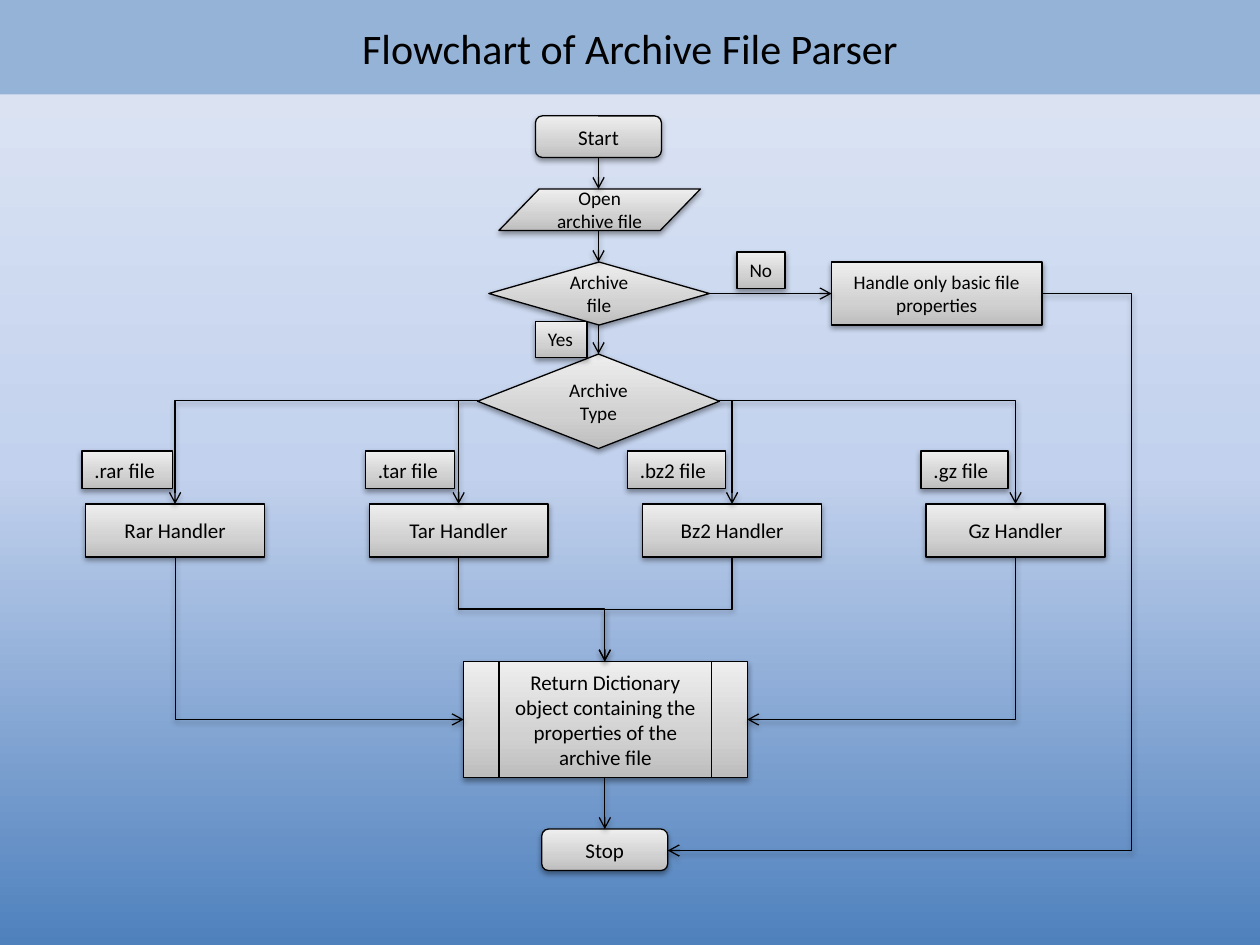
from lxml import etree
from pptx import Presentation
from pptx.dml import color as dml
from pptx.enum import shapes, text
from pptx.oxml import ns
from pptx.util import Inches, Pt

BLACK = "000000"
SKY = [(0, "4F81BD"), (50, "C2D1ED"), (100, "E1E8F5")]
SILVER = [(0, "BDBDBD"), (35, "D1D1D1"), (100, "EEEEEE")]
KIND = shapes.MSO_SHAPE
CENTERED = {"word_wrap": True, "vertical_anchor": text.MSO_ANCHOR.MIDDLE}
LABEL = {"word_wrap": False, "auto_size": text.MSO_AUTO_SIZE.SHAPE_TO_FIT_TEXT}

NODES = [
    (KIND.ROUNDED_RECTANGLE, 4.25, 0.92, 1, 0.33, "Start", 12),
    (KIND.FLOWCHART_DATA, 3.96, 1.5, 1.6, 0.33, "Open archive file", 11),
    (KIND.DIAMOND, 3.88, 2.08, 1.75, 0.5, "Archive file", 11),
    (KIND.DIAMOND, 3.79, 2.81, 1.92, 0.75, "Archive Type", 11),
    (KIND.RECTANGLE, 6.6, 2.08, 1.67, 0.5, "Handle only basic file properties", 11),
    (KIND.FLOWCHART_PREDEFINED_PROCESS, 3.68, 5.25, 2.25, 0.92,
     "Return Dictionary object containing the properties of the archive file", 12),
    (KIND.ROUNDED_RECTANGLE, 4.3, 6.58, 1, 0.33, "Stop", 12),
]
ARROWS = [
    ((4.75, 1.25), (4.75, 1.5)),
    ((4.75, 1.83), (4.75, 2.08)),
    ((4.75, 2.58), (4.75, 2.81)),
    ((5.63, 2.33), (6.6, 2.33)),
    ((4.8, 6.17), (4.8, 6.58)),
]
HANDLER_WIDTH, HANDLER_TOP, HANDLER_HEIGHT = 1.42, 4, 0.42
# name, handler left, label left, label width, decision corner, end of the return path, bends
HANDLERS = [
    ("Rar", 0.68, 0.65, 0.72, 3.79, (3.68, 5.71), 2),
    ("Tar", 2.93, 2.9, 0.71, 3.79, (4.8, 5.25), 3),
    ("Bz2", 5.1, 4.98, 0.78, 5.7, (4.8, 5.25), 3),
    ("Gz", 7.35, 7.31, 0.69, 5.7, (5.93, 5.71), 2),
]


def color(value):
    """Return the colour for a hex string."""
    return dml.RGBColor.from_string(value)


def add_xml(parent, tag, **attributes):
    """Append a DrawingML element and return it."""
    return etree.SubElement(parent, ns.qn(tag), attributes)


def set_gradient(fill, element, stops):
    """Fill with a gradient that runs from bottom to top."""
    fill.gradient()
    fill.gradient_angle = 90
    stop_list = element.xpath(".//a:gradFill/a:gsLst")[0]
    for stop in list(stop_list):
        stop_list.remove(stop)
    for position, value in stops:
        stop = add_xml(stop_list, "a:gs", pos=str(position * 1000))
        add_xml(stop, "a:srgbClr", val=value)


def add_shadow(effects):
    """Put a soft downward shadow in an effect list."""
    shadow = add_xml(effects, "a:outerShdw", blurRad="40000", dist="20000",
                     dir="5400000", rotWithShape="0")
    add_xml(add_xml(shadow, "a:srgbClr", val=BLACK), "a:alpha", val="38000")


def set_line(line):
    """Give an outline its colour and width."""
    line.color.rgb = color(BLACK)
    line.width = Pt(0.75)


def write(shape, words, size, frame_format, alignment):
    """Set and format the single paragraph of a shape."""
    frame = shape.text_frame
    for name, value in frame_format.items():
        setattr(frame, name, value)
    paragraph = frame.paragraphs[0]
    paragraph.text = words
    paragraph.alignment = alignment
    font = paragraph.runs[0].font
    for name, value in {"name": "Calibri", "size": Pt(size)}.items():
        setattr(font, name, value)
    font.color.rgb = color(BLACK)


def style_box(shape):
    """Give a box the silver fill, outline and shadow."""
    set_gradient(shape.fill, shape._element, SILVER)
    set_line(shape.line)
    shape.shadow.inherit = False
    add_shadow(shape._element.spPr.find(ns.qn("a:effectLst")))


def add_node(slide, kind, left, top, width, height, words, size):
    """Add a flowchart step with centred text."""
    shape = slide.shapes.add_shape(kind, *map(Inches, (left, top, width, height)))
    style_box(shape)
    write(shape, words, size, CENTERED, text.PP_ALIGN.CENTER)


def add_label(slide, left, top, width, height, words, size):
    """Add a branch label that fits its text."""
    shape = slide.shapes.add_textbox(*map(Inches, (left, top, width, height)))
    style_box(shape)
    write(shape, words, size, LABEL, text.PP_ALIGN.LEFT)


def add_arrow(slide, start, end, kind=shapes.MSO_CONNECTOR.STRAIGHT):
    """Add a connector with an arrowhead at its end."""
    connector = slide.shapes.add_connector(kind, *map(Inches, (*start, *end)))
    set_line(connector.line)
    add_xml(connector.line._get_or_add_ln(), "a:tailEnd", type="arrow")
    add_shadow(add_xml(connector._element.spPr, "a:effectLst"))
    return connector


def add_elbow(slide, start, end, bends=2, downward=False, bend_at=None):
    """Add a bent arrow that leaves sideways, or downward by a quarter turn."""
    if downward:
        middle_x, middle_y = (start[0] + end[0]) / 2, (start[1] + end[1]) / 2
        half_length, half_rise = (end[1] - start[1]) / 2, (start[0] - end[0]) / 2
        start = middle_x - half_length, middle_y - half_rise
        end = middle_x + half_length, middle_y + half_rise
    connector = add_arrow(slide, start, end, shapes.MSO_CONNECTOR.ELBOW)
    if downward:
        connector.rotation = 90
    geometry = connector._element.xpath(".//a:prstGeom")[0]
    geometry.set("prst", f"bentConnector{bends}")
    if bend_at is not None:
        guides = geometry.find(ns.qn("a:avLst"))
        add_xml(guides, "a:gd", name="adj1", fmla=f"val {round(bend_at * 100000)}")


def add_title(slide, words):
    """Place the title as a band across the top."""
    title = slide.shapes.title
    place = {"left": 0, "top": 0, "width": 10, "height": 0.75}
    for name, value in place.items():
        setattr(title, name, Inches(value))
    title.fill.solid()
    title.fill.fore_color.rgb = color("95B3D7")
    write(title, words, 24, CENTERED, text.PP_ALIGN.CENTER)


def add_handler(slide, name, left, label_left, label_width, corner, target, bends):
    """Add one archive handler with its label and both paths."""
    middle = left + HANDLER_WIDTH / 2
    add_node(slide, KIND.RECTANGLE, left, HANDLER_TOP, HANDLER_WIDTH, HANDLER_HEIGHT,
             f"{name} Handler", 12)
    add_elbow(slide, (corner, 3.18), (middle, HANDLER_TOP))
    add_label(slide, label_left, 3.58, label_width, 0.3, f".{name.lower()} file", 12)
    add_elbow(slide, (middle, HANDLER_TOP + HANDLER_HEIGHT), target, bends, downward=True)


def main():
    """Build the flowchart slide."""
    presentation = Presentation()
    presentation.slide_width, presentation.slide_height = Inches(10), Inches(7.5)
    slide = presentation.slides.add_slide(presentation.slide_layouts[5])
    set_gradient(slide.background.fill, slide._element, SKY)
    add_title(slide, "Flowchart of Archive File Parser")
    for node in NODES:
        add_node(slide, *node)
    for start, end in ARROWS:
        add_arrow(slide, start, end)
    add_label(slide, 4.25, 2.55, 0.41, 0.29, "Yes", 11)
    add_label(slide, 5.85, 2, 0.38, 0.29, "No", 11)
    for handler in HANDLERS:
        add_handler(slide, *handler)
    add_elbow(slide, (8.27, 2.33), (5.3, 6.75), bends=3, bend_at=-0.24)
    presentation.save("out.pptx")


if __name__ == "__main__":
    main()
